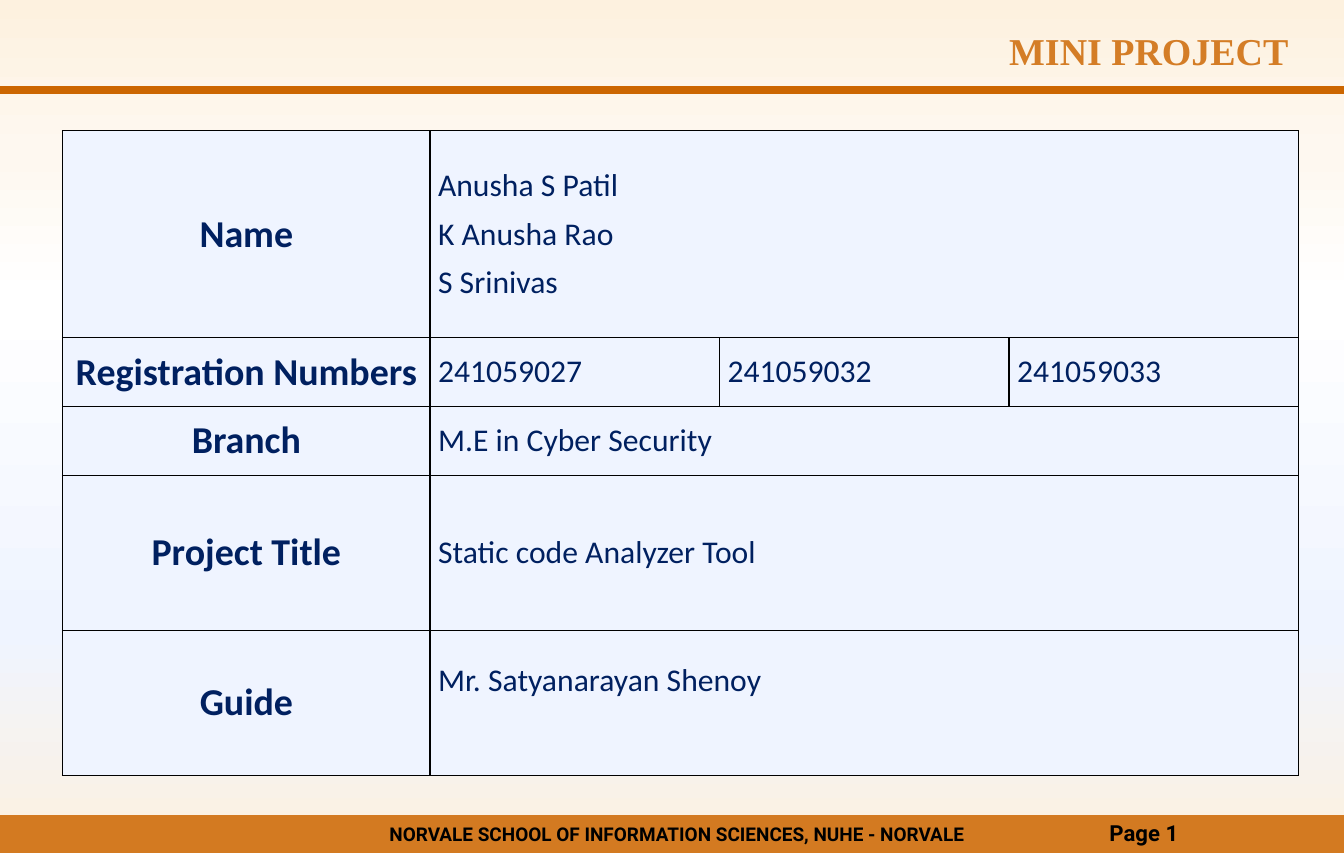
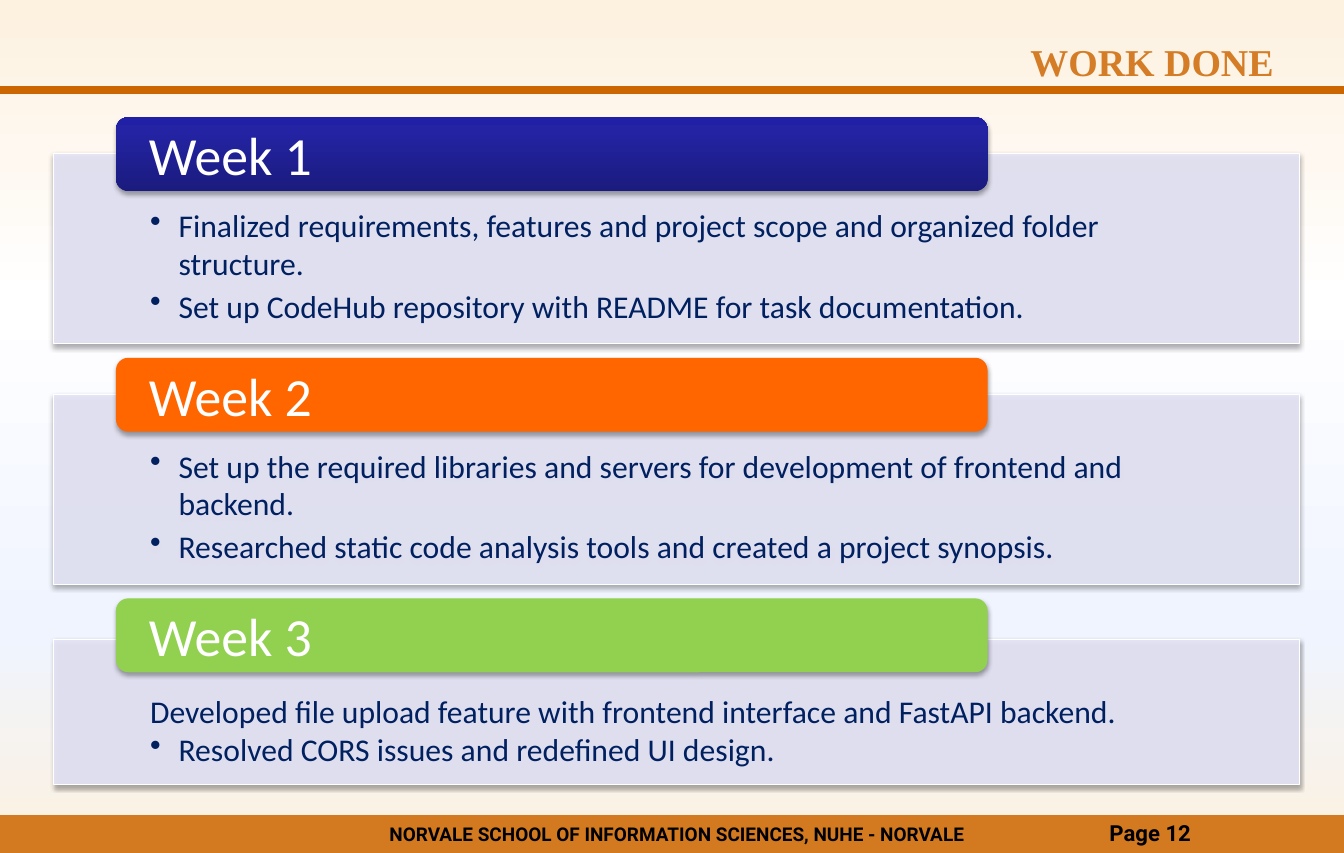
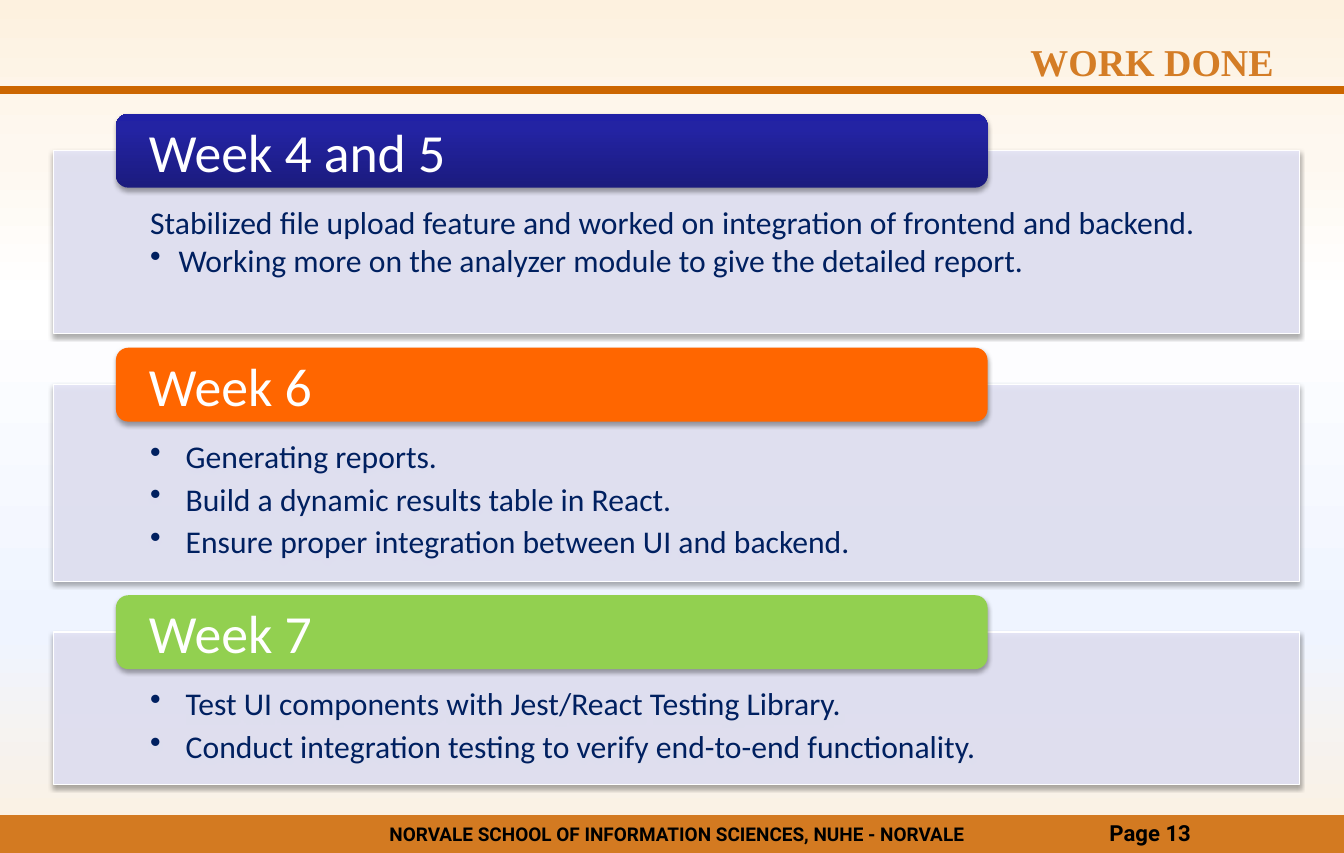
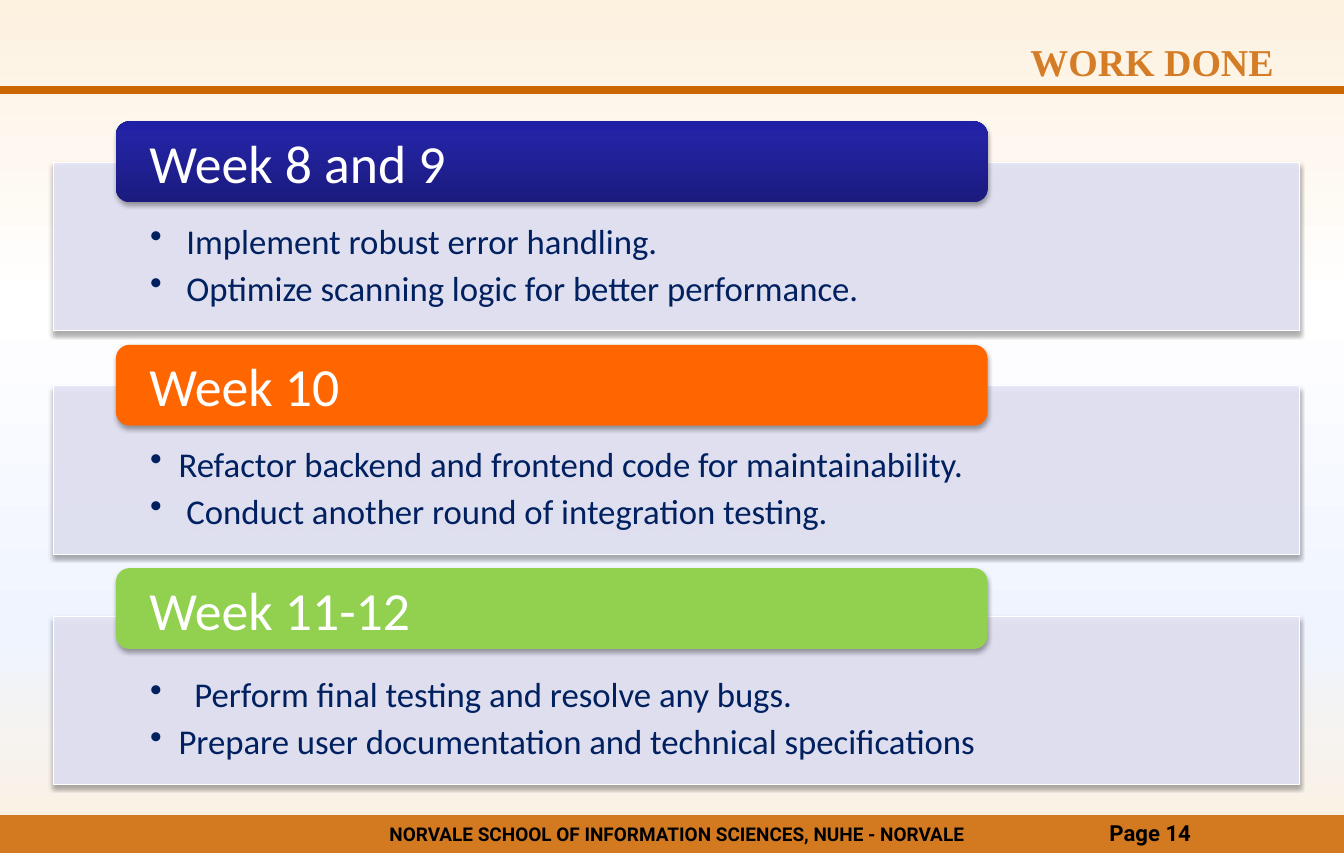
"""Builds the four-page mini project progress deck."""
import dataclasses

import lxml.etree
import pptx
import pptx.dml.color
import pptx.enum.shapes
import pptx.enum.text
import pptx.oxml.ns
import pptx.util

Pt = pptx.util.Pt
qn = pptx.oxml.ns.qn
SHAPE = pptx.enum.shapes.MSO_SHAPE
ALIGN = pptx.enum.text.PP_ALIGN
ANCHOR = pptx.enum.text.MSO_ANCHOR


@dataclasses.dataclass(frozen=True)
class Theme:
    """Colours, fonts, type sizes and page measures of the deck."""
    width: float = 850.39
    height: float = 540
    band: str = "CC6600"
    title: str = "D47D26"
    text: str = "002060"
    black: str = "000000"
    white: str = "FFFFFF"
    cell: str = "EFF4FF"
    panel: str = "E5E5F7"
    backdrop: tuple = ((0, "FDF1DF"), (18, "FEF8F0"), (35, "FFFFFF"), (74, "EFF4FF"), (100, "FDF1DF"))
    navy: tuple = ((0, "1B1B7E"), (80, "2323A3"), (100, "2020A6"))
    orange: str = "FF6600"
    green: str = "92D050"
    title_font: str = "Times New Roman"
    body_font: str = "Calibri"
    footer_font: str = "Roboto"
    title_size: float = 24
    label_size: float = 24
    body_size: float = 20
    large_body_size: float = 22
    week_size: float = 34
    footer_size: float = 12
    page_size: float = 14


def add_node(parent, tag, **attributes):
    """Appends a drawing element with the given attributes."""
    node = lxml.etree.SubElement(parent, qn(tag))
    for name, value in attributes.items():
        node.set(name, str(value))
    return node


class Deck:
    """Holds the theme and the current page, and draws each kind of element."""

    def __init__(self, theme):
        self.theme = theme
        self.deck = pptx.Presentation()
        self.deck.slide_width, self.deck.slide_height = Pt(theme.width), Pt(theme.height)
        self.page = None
        master = self.deck.slide_master
        self.gradient(master.background.fill, master.element, theme.backdrop, 90)

    def rgb(self, colour):
        return pptx.dml.color.RGBColor.from_string(colour)

    def gradient(self, fill, owner, stops, angle):
        fill.gradient()
        node = owner.find(".//" + qn("a:gradFill"))
        for child in list(node):
            node.remove(child)
        stop_list = add_node(node, "a:gsLst")
        for position, colour in stops:
            stop = add_node(stop_list, "a:gs", pos=position * 1000)
            add_node(stop, "a:srgbClr", val=colour)
        add_node(node, "a:lin", ang=angle * 60000, scaled=0)

    def set_text(self, para, text, size, colour, font, bold=False, align=ALIGN.LEFT):
        para.text = text
        para.alignment = align
        para.font.size = Pt(size)
        para.font.name = font
        para.font.bold = bold
        para.font.color.rgb = self.rgb(colour)

    def margins(self, holder, left, top, right, bottom):
        holder.margin_left, holder.margin_top = Pt(left), Pt(top)
        holder.margin_right, holder.margin_bottom = Pt(right), Pt(bottom)

    def label(self, text, left, top, width, height, **style):
        box = self.page.shapes.add_textbox(Pt(left), Pt(top), Pt(width), Pt(height))
        box.text_frame.word_wrap = True
        self.set_text(box.text_frame.paragraphs[0], text, **style)

    def shape(self, kind, left, top, width, height, colour, opacity=100):
        shape = self.page.shapes.add_shape(kind, Pt(left), Pt(top), Pt(width), Pt(height))
        shape.shadow.inherit = False
        shape.line.fill.background()
        if isinstance(colour, tuple):
            self.gradient(shape.fill, shape.element, colour, 270)
        else:
            shape.fill.solid()
            shape.fill.fore_color.rgb = self.rgb(colour)
        if opacity < 100:
            add_node(shape.element.find(".//" + qn("a:srgbClr")), "a:alpha", val=opacity * 1000)
        return shape

    def drop_shadow(self, shape):
        effects = shape.element.find(".//" + qn("a:effectLst"))
        shadow = add_node(effects, "a:outerShdw", blurRad=Pt(3.1), dist=Pt(1.8),
                          dir=90 * 60000, rotWithShape=0)
        add_node(add_node(shadow, "a:srgbClr", val=self.theme.black), "a:alpha", val=35000)

    def rule(self, top):
        line = self.page.shapes.add_connector(
            pptx.enum.shapes.MSO_CONNECTOR.STRAIGHT, 0, Pt(top), Pt(self.theme.width), Pt(top))
        line.line.color.rgb = self.rgb(self.theme.band)
        line.line.width = Pt(4.5)
        add_node(line.element.spPr, "a:effectLst")

    def add_page(self, number):
        theme = self.theme
        self.page = self.deck.slides.add_slide(self.deck.slide_layouts[6])
        self.shape(SHAPE.RECTANGLE, 0, 516, theme.width, 24, theme.band, 85)
        footer = dict(colour=theme.black, font=theme.footer_font, bold=True)
        self.label(f"Page {number}", 694.8, 515.5, 154.8, 24.5, size=theme.page_size, **footer)
        self.rule(57)
        self.label("NORVALE SCHOOL OF INFORMATION SCIENCES, NUHE - NORVALE", 205.2, 517.5, 446.4, 22,
                   size=theme.footer_size, align=ALIGN.CENTER, **footer)

    def title(self, text, left, top, width, align):
        theme = self.theme
        self.label(text, left, top, width, 36.5, size=theme.title_size, colour=theme.title,
                   font=theme.title_font, bold=True, align=align)

    def border(self, cell):
        properties = cell._tc.get_or_add_tcPr()
        for index, side in enumerate(("a:lnL", "a:lnR", "a:lnT", "a:lnB")):
            line = add_node(properties, side, w=Pt(1))
            add_node(add_node(line, "a:solidFill"), "a:srgbClr", val=self.theme.black)
            properties.insert(index, line)

    def cell(self, cell, lines, is_label):
        theme = self.theme
        cell.fill.solid()
        cell.fill.fore_color.rgb = self.rgb(theme.cell)
        self.border(cell)
        cell.vertical_anchor = ANCHOR.MIDDLE
        self.margins(cell, 5, 0, 5, 0)
        for index, text in enumerate(lines):
            frame = cell.text_frame
            para = frame.add_paragraph() if index else frame.paragraphs[0]
            self.set_text(para, text, theme.label_size if is_label else theme.body_size, theme.text,
                          theme.body_font, is_label, ALIGN.CENTER if is_label else ALIGN.LEFT)
            para.space_before = para.space_after = Pt(3.1)

    def table(self, left, top, widths, rows):
        heights = [height for height, *_ in rows]
        frame = self.page.shapes.add_table(len(rows), len(widths), Pt(left), Pt(top),
                                           Pt(sum(widths)), Pt(sum(heights)))
        table = frame.table
        table.first_row = table.horz_banding = False
        for column, width in zip(table.columns, widths):
            column.width = Pt(width)
        for index, (height, *texts) in enumerate(rows):
            table.rows[index].height = Pt(height)
            for column in range(len(widths)):
                lines = texts[column].split("\n") if column < len(texts) else []
                self.cell(table.cell(index, column), lines, column == 0)
            if len(texts) < len(widths):
                table.cell(index, len(texts) - 1).merge(table.cell(index, len(widths) - 1))
        return table

    def bullet_line(self, para, text, size, indent):
        self.set_text(para, text, size, self.theme.text, self.theme.body_font)
        if indent:
            para.space_after = Pt(size * 0.15)
            properties = para._p.get_or_add_pPr()
            properties.set("marL", str(Pt(indent)))
            properties.set("indent", str(-Pt(indent)))
            marker = add_node(properties, "a:buChar", char="•")
            properties.find(qn("a:defRPr")).addprevious(marker)

    def panel(self, top, height, lines, size, inset):
        panel = self.shape(SHAPE.RECTANGLE, 33.8, top, 788.4, height, self.theme.panel, 90)
        panel.line.color.rgb = self.rgb(self.theme.white)
        panel.line.width = Pt(0.75)
        self.drop_shadow(panel)
        frame = panel.text_frame
        frame.word_wrap = True
        frame.vertical_anchor = ANCHOR.TOP
        self.margins(frame, 61.2, inset, 61.2, 11.5)
        for index, (text, indent) in enumerate(lines):
            para = frame.add_paragraph() if index else frame.paragraphs[0]
            self.bullet_line(para, text, size, indent)

    def week_header(self, text, top, height, colour):
        header = self.shape(SHAPE.ROUNDED_RECTANGLE, 73.4, top, 551.5, height, colour)
        self.drop_shadow(header)
        frame = header.text_frame
        frame.word_wrap = True
        frame.vertical_anchor = ANCHOR.MIDDLE
        self.margins(frame, 18.6, 0, 18.6, 0)
        self.set_text(frame.paragraphs[0], text, self.theme.week_size, self.theme.white,
                      self.theme.body_font)

    def work_page(self, number, top, weeks, size, header_height, inset):
        theme = self.theme
        self.add_page(number)
        self.title("WORK DONE", 643.7, 20.9, 170.6, ALIGN.CENTER)
        for colour, (name, lead, height, lines) in zip((theme.navy, theme.orange, theme.green), weeks):
            self.panel(top + lead, height, lines, size, inset)
            self.week_header(name, top, header_height, colour)
            top += lead + height + 8.8


def main():
    """Builds every page and saves the deck."""
    theme = Theme()
    deck = Deck(theme)

    deck.add_page(1)
    deck.title("MINI PROJECT", 197.3, 13.7, 625, ALIGN.RIGHT)
    table = deck.table(39.6, 82.8, [232.6, 183.2, 183.2, 183.2], [
        (131, "Name", "Anusha S Patil\nK Anusha Rao\nS Srinivas"),
        (43.6, "Registration Numbers", "241059027", "241059032", "241059033"),
        (43.6, "Branch", "M.E in Cyber Security"),
        (98, "Project Title", "Static code Analyzer Tool"),
        (92, "Guide", "Mr. Satyanarayan Shenoy"),
    ])
    table.cell(4, 1).margin_bottom = Pt(28)

    plain, near, middle, wide, far = 0, 18, 22.5, 23, 28
    deck.work_page(12, 74.2, [
        ("Week 1", 23, 120.5, [
            ("Finalized requirements, features and project scope and organized folder structure.", near),
            ("Set up CodeHub repository with README for task documentation.", near)]),
        ("Week 2", 23, 120.5, [
            ("Set up the required libraries and servers for development of frontend and backend.", near),
            ("Researched static code analysis tools and created a project synopsis.", near)]),
        ("Week 3", 25.9, 92.1, [
            ("Developed file upload feature with frontend interface and FastAPI backend.", plain),
            ("Resolved CORS issues and redefined UI design.", near)]),
    ], theme.body_size, 46.8, 33.1)
    deck.work_page(13, 72, [
        ("Week 4 and 5", 23.3, 116, [
            ("Stabilized file upload feature and worked on integration of frontend and backend.", plain),
            ("Working more on the analyzer module to give the detailed report.", near)]),
        ("Week 6", 23.3, 124.6, [
            ("Generating reports.", middle),
            ("Build a dynamic results table in React.", middle),
            ("Ensure proper integration between UI and backend.", middle)]),
        ("Week 7", 23.3, 96.6, [
            ("Test UI components with Jest/React Testing Library.", middle),
            ("Conduct integration testing to verify end-to-end functionality.", middle)]),
    ], theme.body_size, 46.8, 33.1)
    deck.work_page(14, 76.9, [
        ("Week 8 and 9", 26, 106.6, [
            ("Implement robust error handling.", wide),
            ("Optimize scanning logic for better performance.", wide)]),
        ("Week 10", 26, 106.6, [
            ("Refactor backend and frontend code for maintainability.", near),
            ("Conduct another round of integration testing.", wide)]),
        ("Week 11-12", 30.5, 106.6, [
            ("Perform final testing and resolve any bugs.", far),
            ("Prepare user documentation and technical specifications", near)]),
    ], theme.large_body_size, 51.1, 36)

    deck.deck.save("out.pptx")


if __name__ == "__main__":
    main()
